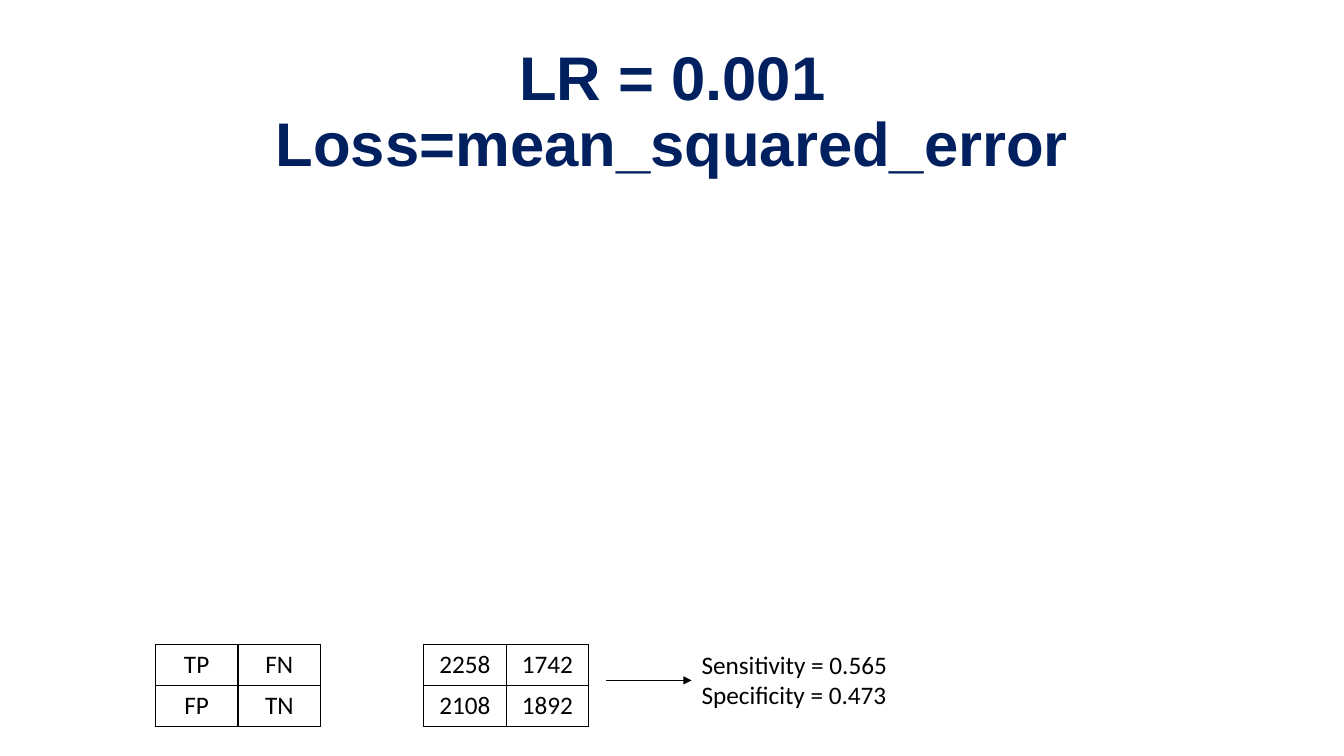
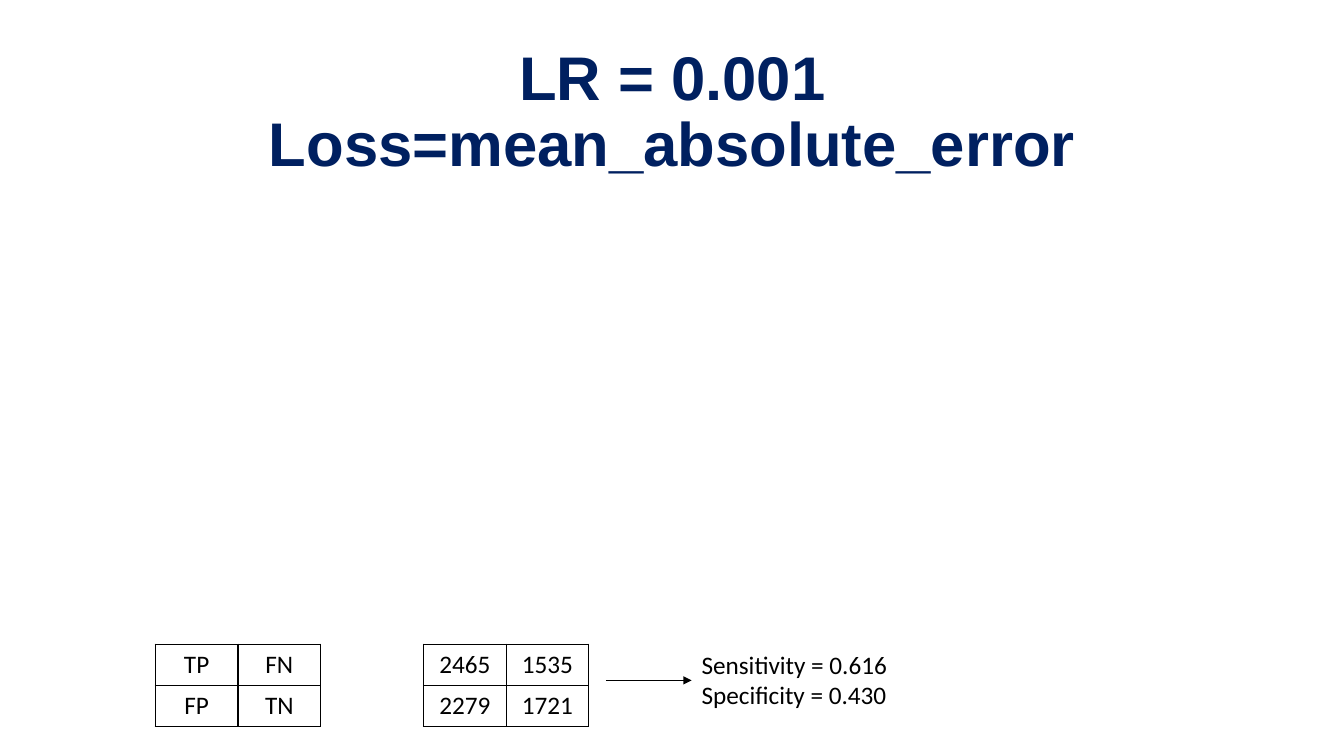
from lxml import etree
from pptx import Presentation
from pptx.dml.color import RGBColor
from pptx.enum.shapes import MSO_CONNECTOR
from pptx.enum.text import MSO_ANCHOR, MSO_AUTO_SIZE, PP_ALIGN
from pptx.oxml.ns import qn
from pptx.util import Inches, Pt

LINE = MSO_CONNECTOR.STRAIGHT
MIDDLE = MSO_ANCHOR.MIDDLE
FIXED = MSO_AUTO_SIZE.NONE
GROW = MSO_AUTO_SIZE.SHAPE_TO_FIT_TEXT
LEFT, CENTER = PP_ALIGN.LEFT, PP_ALIGN.CENTER

NAVY = RGBColor(0x00, 0x20, 0x60)
BLACK = RGBColor(0x00, 0x00, 0x00)

HEAD = {"name": "Arial", "size": Pt(44), "bold": True}
BODY = {"name": "Calibri", "size": Pt(18), "bold": False}

TITLE_BOX = (0.92, 0.4, 11.5, 1.45)
RESULT_BOX = (1.54, 6.39, 7.44, 0.81)
CELL_W, CELL_H = 0.82, 0.41
LEGEND = (("TP", "FN"), ("FP", "TN"))

RUNS = (
    ("mean_squared_error", ((2258, 1742), (2108, 1892)), ("0.565", "0.473")),
    ("mean_absolute_error", ((2465, 1535), (2279, 1721)), ("0.616", "0.430")),
)


def inches(*values):
    return [Inches(value) for value in values]


def style(para, form, color, align):
    para.alignment = align
    for key, value in form.items():
        setattr(para.font, key, value)
    para.font.color.rgb = color


def add_title(slide, box, loss):
    title = slide.shapes.title
    title.left, title.top, title.width, title.height = inches(*box)
    frame = title.text_frame
    frame.text = f"LR = 0.001\vLoss={loss}"
    frame.auto_size = FIXED
    frame.word_wrap = True
    frame.vertical_anchor = MIDDLE
    para = frame.paragraphs[0]
    para.line_spacing = 0.9
    style(para, HEAD, NAVY, CENTER)


def add_border(cell):
    props = cell._tc.get_or_add_tcPr()
    for side in ("lnL", "lnR", "lnT", "lnB"):
        edge = etree.SubElement(props, qn(f"a:{side}"), w=str(Pt(1)))
        fill = etree.SubElement(edge, qn("a:solidFill"))
        etree.SubElement(fill, qn("a:srgbClr"), val=str(BLACK))


def add_matrix(slide, left, top, rows):
    count, width = len(rows), len(rows[0])
    box = inches(left, top, width * CELL_W, count * CELL_H)
    table = slide.shapes.add_table(count, width, *box).table
    table.first_row = table.horz_banding = False
    for r, row in enumerate(rows):
        for c, value in enumerate(row):
            cell = table.cell(r, c)
            add_border(cell)
            cell.fill.background()
            cell.text = str(value)
            style(cell.text_frame.paragraphs[0], BODY, BLACK, CENTER)


def add_arrow(slide, left, top, width):
    ends = inches(left, top, left + width, top)
    arrow = slide.shapes.add_connector(LINE, *ends)
    arrow.line.color.rgb = BLACK
    arrow.line.width = Pt(0.5)
    etree.SubElement(arrow.line._get_or_add_ln(), qn("a:tailEnd"), type="triangle")
    etree.SubElement(arrow._element.spPr, qn("a:effectLst"))


def add_scores(slide, left, top, scores):
    frame = slide.shapes.add_textbox(*inches(left, top, 2.12, 0.71)).text_frame
    frame.word_wrap = False
    frame.auto_size = GROW
    names = ("Sensitivity", "Specificity")
    frame.text = "\n".join(f"{name} = {score}" for name, score in zip(names, scores))
    for para in frame.paragraphs:
        style(para, BODY, BLACK, LEFT)


def add_result(slide, box, counts, scores):
    left, top, width, height = box
    edge = left + width - 2.12
    add_scores(slide, edge, top, scores)
    add_matrix(slide, left + 2.66, top, counts)
    add_arrow(slide, edge - 0.85, top + 0.36, 0.85)
    add_matrix(slide, left, top, LEGEND)


def main():
    deck = Presentation()
    deck.slide_width, deck.slide_height = inches(13.33, 7.5)
    for loss, counts, scores in RUNS:
        slide = deck.slides.add_slide(deck.slide_layouts[5])
        add_title(slide, TITLE_BOX, loss)
        add_result(slide, RESULT_BOX, counts, scores)
    deck.save("out.pptx")


if __name__ == "__main__":
    main()
